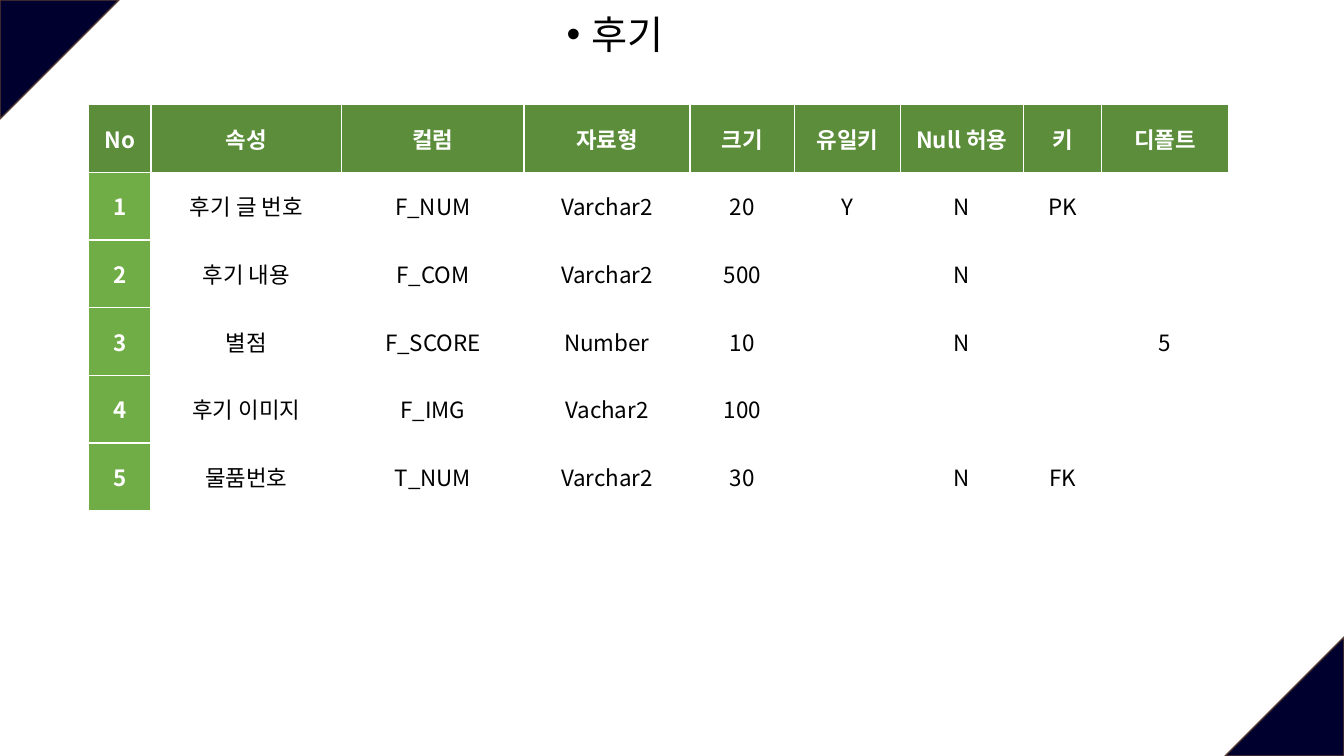
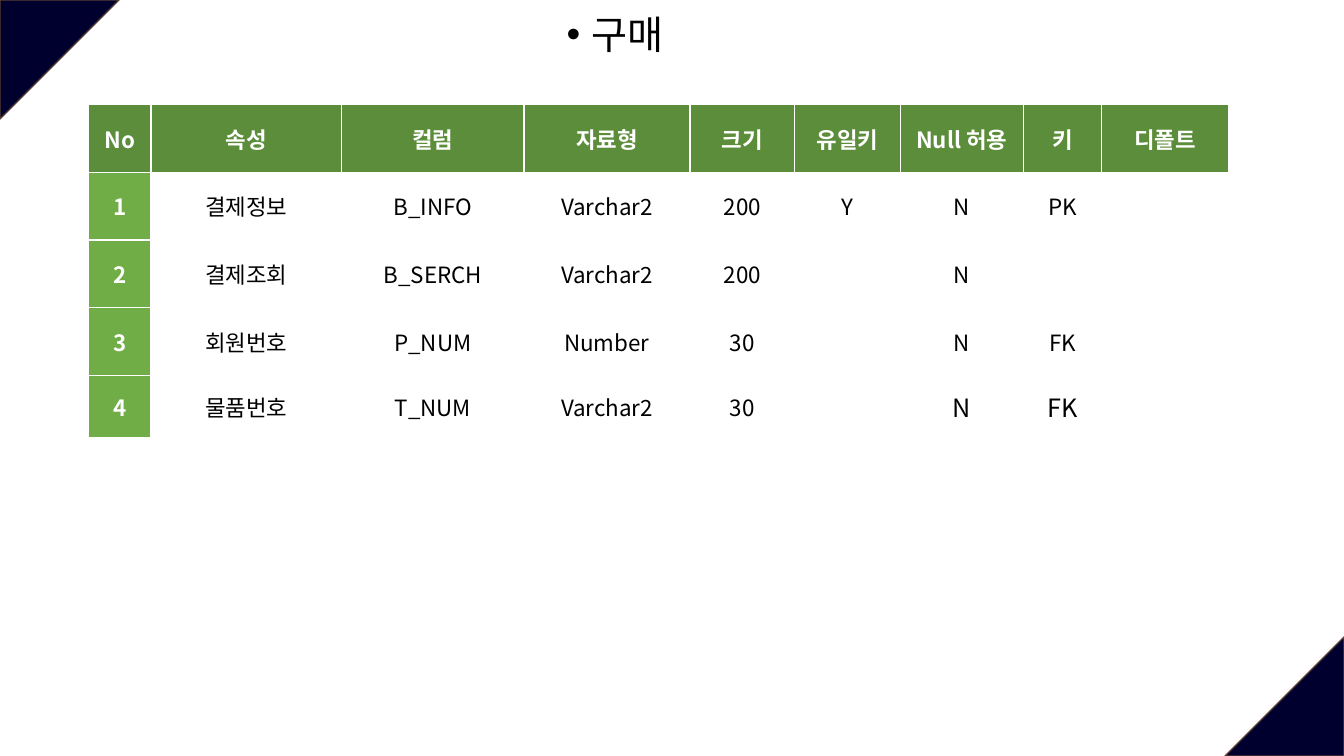
import dataclasses
import typing

import lxml.etree
import pptx
import pptx.dml.color
import pptx.enum.text
import pptx.oxml.ns
import pptx.util

Pt = pptx.util.Pt
qn = pptx.oxml.ns.qn
RGB = pptx.dml.color.RGBColor

NAVY = RGB(0x00, 0x00, 0x2F)
BROWN = RGB(0x5B, 0x3F, 0x33)
DARK_GREEN = RGB(0x5C, 0x8D, 0x3A)
GREEN = RGB(0x70, 0xAD, 0x47)
BLACK = RGB(0, 0, 0)
WHITE = RGB(0xFF, 0xFF, 0xFF)

FONT = "Noto Sans CJK KR"
SLIDE_W, SLIDE_H = 960, 540
CORNER = 85
TABLE_LEFT, TABLE_TOP = 63.5, 74.7
ROW_H = 48.36
CELL_MARGIN = 4.3
HEADERS = ("No", "속성", "컬럼", "자료형", "크기", "유일키", "Null 허용", "키", "디폴트")
COL_WIDTHS = (44.4, 136.2, 130.2, 118.6, 74.8, 75.6, 87.8, 55.9, 90.5)


@dataclasses.dataclass(frozen=True)
class Field:
    name: str
    column: str
    data_type: str
    size: str
    unique: str = ""
    nullable: str = ""
    key: str = ""
    default: str = ""
    key_size: float = 16
    height: float = ROW_H

    def values(self) -> tuple[str, ...]:
        return (self.name, self.column, self.data_type, self.size,
                self.unique, self.nullable, self.key, self.default)


@dataclasses.dataclass(frozen=True)
class Entity:
    title: str
    fields: tuple[Field, ...]


ENTITIES = (
    Entity("후기", (
        Field("후기 글 번호", "F_NUM", "Varchar2", "20", "Y", "N", "PK"),
        Field("후기 내용", "F_COM", "Varchar2", "500", nullable="N"),
        Field("별점", "F_SCORE", "Number", "10", nullable="N", default="5"),
        Field("후기 이미지", "F_IMG", "Vachar2", "100"),
        Field("물품번호", "T_NUM", "Varchar2", "30", nullable="N", key="FK"),
    )),
    Entity("구매", (
        Field("결제정보", "B_INFO", "Varchar2", "200", "Y", "N", "PK"),
        Field("결제조회", "B_SERCH", "Varchar2", "200", nullable="N"),
        Field("회원번호", "P_NUM", "Number", "30", nullable="N", key="FK"),
        Field("물품번호", "T_NUM", "Varchar2", "30", nullable="N", key="FK",
              key_size=18, height=44.6),
    )),
)


def write(tf: typing.Any, text: str, *, size: float = 16, color: RGB = BLACK,
          bold: bool = False, bullet: bool = False) -> None:
    p = tf.paragraphs[0]
    p.alignment = pptx.enum.text.PP_ALIGN.CENTER
    if bullet:
        pPr = p._p.get_or_add_pPr()
        pPr.set("marL", str(Pt(18)))
        pPr.set("indent", str(-Pt(18)))
        lxml.etree.SubElement(pPr, qn("a:buFont"), typeface="Arial")
        lxml.etree.SubElement(pPr, qn("a:buChar"), char="•")
        p.line_spacing = 0.9
    r = p.add_run()
    r.text = text
    r.font.size = Pt(size)
    r.font.bold = bold
    r.font.color.rgb = color
    r.font.name = FONT
    lxml.etree.SubElement(r._r.get_or_add_rPr(), qn("a:ea"), typeface=FONT)


def add_corner(s: typing.Any, x: float, y: float, reach: float) -> None:
    fb = s.shapes.build_freeform(Pt(x), Pt(y))
    fb.add_line_segments([(Pt(x + reach), Pt(y)), (Pt(x), Pt(y + reach))])
    sp = fb.convert_to_shape()
    sp.shadow.inherit = False
    sp.fill.solid()
    sp.fill.fore_color.rgb = NAVY
    sp.line.color.rgb = BROWN
    sp.line.width = Pt(1)


def add_title(s: typing.Any, text: str) -> None:
    sp = s.shapes.title
    sp.left, sp.top, sp.width, sp.height = Pt(134), Pt(2), Pt(611), Pt(48)
    tf = sp.text_frame
    tf.auto_size = pptx.enum.text.MSO_AUTO_SIZE.NONE
    tf.vertical_anchor = pptx.enum.text.MSO_ANCHOR.MIDDLE
    tf.margin_left = tf.margin_right = tf.margin_top = tf.margin_bottom = Pt(3.6)
    write(tf, text, size=28, bullet=True)


def format_cell(cell: typing.Any, fill: RGB | None) -> None:
    cell.vertical_anchor = pptx.enum.text.MSO_ANCHOR.MIDDLE
    cell.margin_left = cell.margin_right = Pt(CELL_MARGIN)
    cell.margin_top = cell.margin_bottom = Pt(CELL_MARGIN)
    tcPr = cell._tc.get_or_add_tcPr()
    for side in ("lnL", "lnR", "lnT", "lnB"):
        ln = lxml.etree.SubElement(tcPr, qn(f"a:{side}"), w=str(Pt(1)))
        solid = lxml.etree.SubElement(ln, qn("a:solidFill"))
        lxml.etree.SubElement(solid, qn("a:srgbClr"), val=str(WHITE))
    if fill is None:
        cell.fill.background()
    else:
        cell.fill.solid()
        cell.fill.fore_color.rgb = fill


def add_field_table(s: typing.Any, fields: tuple[Field, ...]) -> None:
    heights = [ROW_H] + [f.height for f in fields]
    table = s.shapes.add_table(
        len(heights), len(HEADERS), Pt(TABLE_LEFT), Pt(TABLE_TOP),
        Pt(sum(COL_WIDTHS)), Pt(sum(heights))).table
    table.first_col = True
    table.horz_banding = False
    for col, width in zip(table.columns, COL_WIDTHS):
        col.width = Pt(width)
    for row, height in zip(table.rows, heights):
        row.height = Pt(height)
    for i, header in enumerate(HEADERS):
        cell = table.cell(0, i)
        format_cell(cell, DARK_GREEN)
        write(cell.text_frame, header, color=WHITE, bold=True)
    for number, field in enumerate(fields, 1):
        cell = table.cell(number, 0)
        format_cell(cell, GREEN)
        write(cell.text_frame, str(number), color=WHITE, bold=True)
        for i, value in enumerate(field.values(), 1):
            cell = table.cell(number, i)
            format_cell(cell, None)
            if value:
                is_key = HEADERS[i] in ("Null 허용", "키")
                write(cell.text_frame, value, size=field.key_size if is_key else 16)


def main() -> None:
    prs = pptx.Presentation()
    prs.slide_width, prs.slide_height = Pt(SLIDE_W), Pt(SLIDE_H)
    for entity in ENTITIES:
        s = prs.slides.add_slide(prs.slide_layouts[5])
        add_corner(s, 0, 0, CORNER)
        add_corner(s, SLIDE_W, SLIDE_H, -CORNER)
        add_title(s, entity.title)
        add_field_table(s, entity.fields)
    prs.save("out.pptx")


if __name__ == "__main__":
    main()
